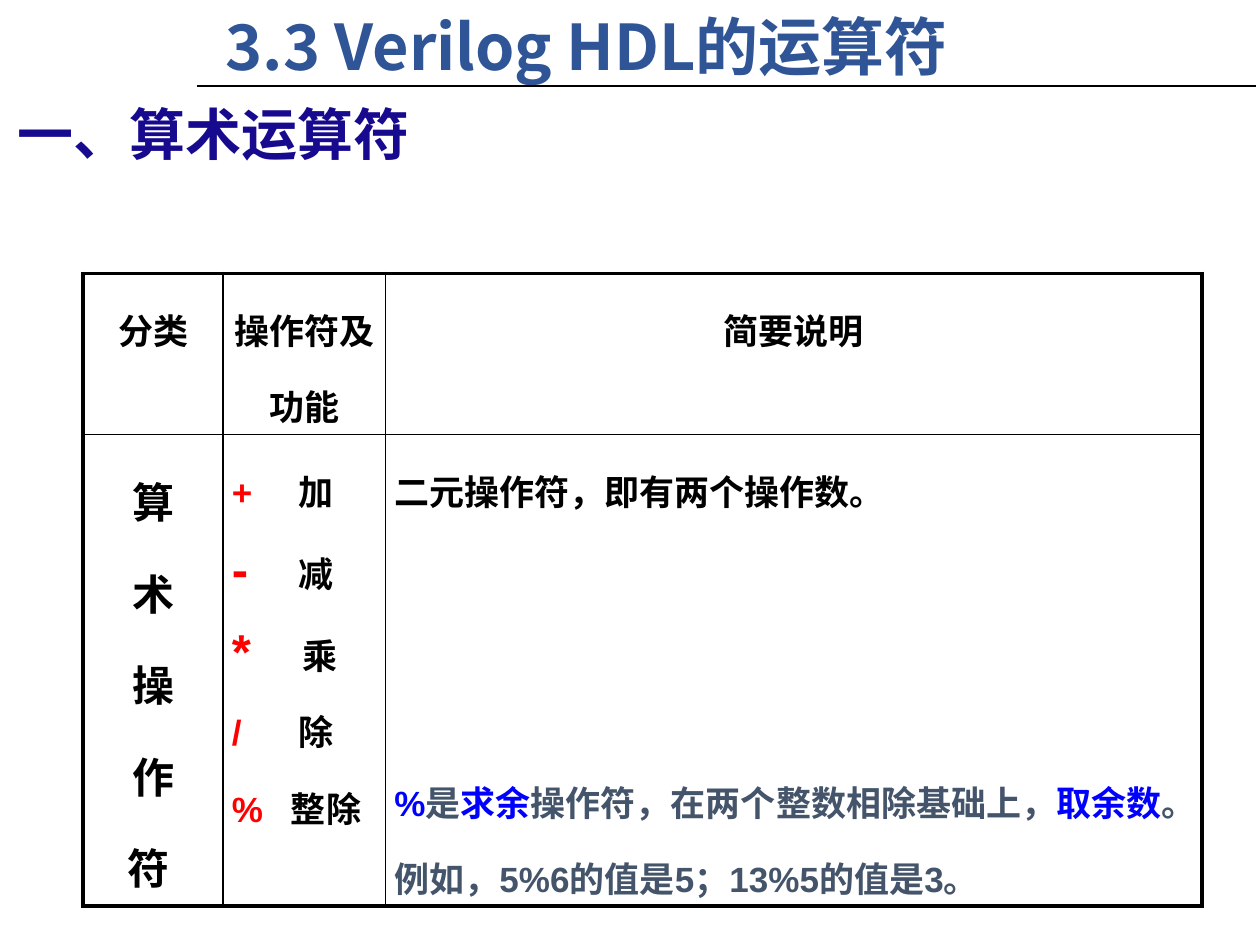
from dataclasses import dataclass

from lxml import etree
from pptx import Presentation
from pptx.dml.color import RGBColor
from pptx.enum.shapes import MSO_CONNECTOR
from pptx.enum.text import MSO_ANCHOR, MSO_AUTO_SIZE, PP_ALIGN
from pptx.oxml.ns import qn
from pptx.util import Inches, Pt

STRAIGHT = MSO_CONNECTOR.STRAIGHT
TOP = MSO_ANCHOR.TOP
FIT_SHAPE = MSO_AUTO_SIZE.SHAPE_TO_FIT_TEXT
LEFT, CENTER = PP_ALIGN.LEFT, PP_ALIGN.CENTER
TITLE_ONLY = 5


@dataclass(frozen=True)
class Theme:
    latin: str = "Arial"
    chinese: str = "Noto Sans CJK SC"
    black: str = "000000"
    title: str = "2F5597"
    heading: str = "170A8E"
    operator: str = "FF0000"
    keyword: str = "0000FF"
    note: str = "44546A"
    title_size: int = 36
    heading_size: int = 32
    symbol_size: int = 28
    category_size: int = 24
    body_size: int = 20
    outer_border: float = 2.25
    inner_border: float = 1
    rule: float = 1.25


THEME = Theme()

COLUMN_WIDTHS = (1.11, 1.29, 6.48)
ROW_HEIGHTS = (1.28, 3.74)
HEADERS = ("分类", "操作符及功能", "简要说明")
CATEGORY = ("算", "术", "操", "作", "符 ")
# symbol, symbol size, meaning, tab stop in inches
OPERATORS = (
    ("+", THEME.body_size, "加", 0.53),
    ("-", THEME.symbol_size, "减", 0.53),
    ("*", THEME.symbol_size, "乘", 0.56),
    ("/", THEME.body_size, "除", 0.53),
    ("%", THEME.body_size, "整除", 0.47),
)
REMAINDER = (
    ("%", THEME.keyword),
    ("是", THEME.note),
    ("求余", THEME.keyword),
    ("操作符，在两个整数相除基础上，", THEME.note),
    ("取余数", THEME.keyword),
    ("。", THEME.note),
)
EXAMPLE = "例如，5%6的值是5；13%5的值是3。"


def add_text(paragraph, text, size=THEME.body_size, color=THEME.black,
             latin=THEME.latin):
    run = paragraph.add_run()
    run.text = text
    font = run.font
    font.size, font.bold, font.name = Pt(size), True, latin
    font.color.rgb = RGBColor.from_string(color)
    east_asian = etree.Element(qn("a:ea"), typeface=THEME.chinese)
    run._r.rPr.find(qn("a:latin")).addnext(east_asian)


def add_paragraph(frame, align=LEFT, space_before=None, tab=None):
    """Return the frame's empty first paragraph, or a new one after it."""
    paragraph = frame.paragraphs[0]
    if paragraph.runs:
        paragraph = frame.add_paragraph()
    if tab is not None:
        tabs = etree.SubElement(paragraph._p.get_or_add_pPr(), qn("a:tabLst"))
        etree.SubElement(tabs, qn("a:tab"), pos=str(Inches(tab)), algn="l")
    paragraph.alignment = align
    paragraph.line_spacing = 1.5
    if space_before is not None:
        paragraph.space_before = Pt(space_before)
    return paragraph


def set_borders(cell, widths):
    """Draw black cell borders, with widths in the order left, right, top, bottom."""
    properties = cell._tc.get_or_add_tcPr()
    for index, (side, width) in enumerate(zip("LRTB", widths)):
        line = etree.Element(qn(f"a:ln{side}"), w=str(Pt(width)))
        fill = etree.SubElement(line, qn("a:solidFill"))
        etree.SubElement(fill, qn("a:srgbClr"), val=THEME.black)
        properties.insert(index, line)


def format_heading(shape, text, size, color):
    frame = shape.text_frame
    frame.word_wrap = True
    frame.auto_size = FIT_SHAPE
    frame.vertical_anchor = TOP
    paragraph = frame.paragraphs[0]
    paragraph.alignment = LEFT
    paragraph.line_spacing = 1.0
    add_text(paragraph, text, size, color, latin=THEME.chinese)


def add_title(slide):
    title = slide.shapes.title
    title.left, title.top = Inches(1.69), Inches(0.01)
    title.width, title.height = Inches(7.89), Inches(0.71)
    format_heading(title, "3.3 Verilog HDL的运算符", THEME.title_size, THEME.title)


def add_section_heading(slide):
    box = slide.shapes.add_textbox(
        Inches(0.04), Inches(0.74), Inches(6.51), Inches(0.64))
    format_heading(box, "一、算术运算符", THEME.heading_size, THEME.heading)


def add_title_rule(slide):
    rule = slide.shapes.add_connector(
        STRAIGHT, Inches(1.56), Inches(0.68), Inches(9.97), Inches(0.68))
    rule.line.color.rgb = RGBColor.from_string(THEME.black)
    rule.line.width = Pt(THEME.rule)
    etree.SubElement(rule._element.spPr, qn("a:effectLst"))


def add_grid(slide):
    rows, columns = len(ROW_HEIGHTS), len(COLUMN_WIDTHS)
    table = slide.shapes.add_table(
        rows, columns, Inches(0.66), Inches(2.17),
        Inches(sum(COLUMN_WIDTHS)), Inches(sum(ROW_HEIGHTS))).table
    table.first_row = table.horz_banding = False
    for column, width in zip(table.columns, COLUMN_WIDTHS):
        column.width = Inches(width)
    for row, height in zip(table.rows, ROW_HEIGHTS):
        row.height = Inches(height)
    for r in range(rows):
        for c in range(columns):
            cell = table.cell(r, c)
            cell.margin_left = cell.margin_right = Inches(0.07)
            cell.margin_top = cell.margin_bottom = Inches(0.04)
            cell.fill.background()
            on_edge = (c == 0, c == columns - 1, r == 0, r == rows - 1)
            set_borders(cell, [THEME.outer_border if edge else THEME.inner_border
                               for edge in on_edge])
    return table


def fill_operator_table(table):
    for column, header in enumerate(HEADERS):
        add_text(add_paragraph(table.cell(0, column).text_frame, CENTER), header)

    category, operators, notes = (
        table.cell(1, column).text_frame for column in range(3))
    for character in CATEGORY:
        add_text(add_paragraph(category, CENTER), character, THEME.category_size)

    for symbol, size, meaning, tab in OPERATORS:
        paragraph = add_paragraph(operators, tab=tab)
        add_text(paragraph, symbol, size, THEME.operator)
        add_text(paragraph, "\t" + meaning)

    add_text(add_paragraph(notes), "二元操作符，即有两个操作数。")
    remainder = add_paragraph(notes, space_before=134)
    for text, color in REMAINDER:
        add_text(remainder, text, color=color)
    add_text(add_paragraph(notes), EXAMPLE, color=THEME.note)


def main():
    presentation = Presentation()
    presentation.slide_width, presentation.slide_height = Inches(10), Inches(7.5)
    slide = presentation.slides.add_slide(presentation.slide_layouts[TITLE_ONLY])
    fill_operator_table(add_grid(slide))
    add_section_heading(slide)
    add_title_rule(slide)
    add_title(slide)
    presentation.save("out.pptx")


if __name__ == "__main__":
    main()
